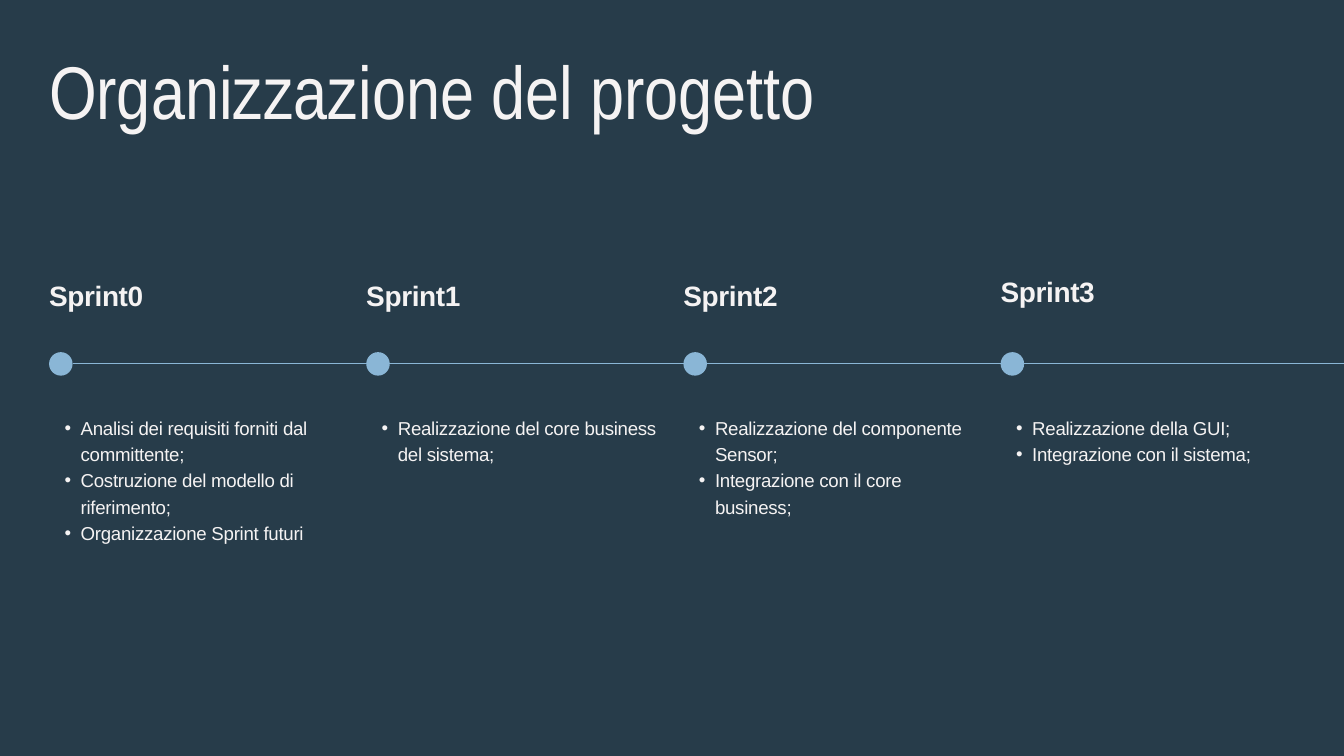
from lxml.etree import SubElement
from pptx import Presentation
from pptx.dml.color import RGBColor
from pptx.enum.shapes import MSO_CONNECTOR as Connector, MSO_SHAPE as Shape
from pptx.enum.text import MSO_AUTO_SIZE as AutoSize
from pptx.oxml.ns import qn
from pptx.util import Emu, Pt

PX = 9144
COLORS = {"background": "273C4A", "text": "F5F3F3", "accent": "8AB6D6"}

LEFT, PITCH, COLUMN_WIDTH = 73, 472, 438
AXIS_Y, DOT_SIZE = 541, 35
SPRINTS = [
    ("Sprint0", 414, ["Analisi dei requisiti forniti dal committente;",
                      "Costruzione del modello di riferimento;",
                      "Organizzazione Sprint futuri"]),
    ("Sprint1", 414, ["Realizzazione del core business del sistema;"]),
    ("Sprint2", 414, ["Realizzazione del componente Sensor;",
                      "Integrazione con il core business;"]),
    ("Sprint3", 409, ["Realizzazione della GUI;",
                      "Integrazione con il sistema;"]),
]


def px(value):
    return Emu(value * PX)


def color(name):
    return RGBColor.from_string(COLORS[name])


class Timeline:
    def __init__(self, page):
        self.page = page
        page.background.fill.solid()
        page.background.fill.fore_color.rgb = color("background")

    def text(self, left, top, width, height, lines, size, leading,
             font="Arial", bold=False, tracking=0, bullets=False):
        box = self.page.shapes.add_textbox(px(left), px(top), px(width), px(height))
        frame = box.text_frame
        frame.margin_left = frame.margin_right = 0
        frame.margin_top = frame.margin_bottom = 0
        frame.word_wrap = True
        frame.auto_size = AutoSize.SHAPE_TO_FIT_TEXT
        frame.text = "\n".join(lines)
        for para in frame.paragraphs:
            para.line_spacing = Pt(leading)
            if bullets:
                self.bullet(para)
            for span in para.runs:
                span.font.name = font
                span.font.size = Pt(size)
                span.font.bold = bold
                span.font.color.rgb = color("text")
                if tracking:
                    span.font._element.set("spc", str(tracking))

    def bullet(self, para):
        para.level = 1
        properties = para._p.get_or_add_pPr()
        properties.set("marL", str(px(47)))
        properties.set("indent", str(px(-24)))
        SubElement(properties, qn("a:buFont")).set("typeface", "Arial")
        SubElement(properties, qn("a:buChar")).set("char", "•")

    def line(self, left, right, y):
        line = self.page.shapes.add_connector(
            Connector.STRAIGHT, px(left), px(y), px(right), px(y))
        line.line.color.rgb = color("accent")
        line.line.width = Pt(1.5)
        SubElement(line._element.spPr, qn("a:effectLst"))

    def dot(self, left, top, size):
        dot = self.page.shapes.add_shape(
            Shape.OVAL, px(left), px(top), px(size), px(size))
        dot.shadow.inherit = False
        dot.fill.solid()
        dot.fill.fore_color.rgb = color("accent")
        dot.line.fill.background()


def main():
    deck = Presentation()
    deck.slide_width, deck.slide_height = px(2000), px(1125)
    timeline = Timeline(deck.slides.add_slide(deck.slide_layouts[6]))

    timeline.text(LEFT, 89, 1854, 117, ["Organizzazione del progetto"],
                  80, 80, font="Arial Narrow")
    timeline.line(LEFT + DOT_SIZE, 2000, AXIS_Y)
    for index, (name, name_top, tasks) in enumerate(SPRINTS):
        left = LEFT + index * PITCH
        timeline.text(left, name_top, COLUMN_WIDTH, 56, [name],
                      30, 36, bold=True, tracking=-40)
        timeline.dot(left, AXIS_Y - DOT_SIZE // 2, DOT_SIZE)
        timeline.text(left, 615, COLUMN_WIDTH, 39 * (len(tasks) + 1), tasks,
                      20, 28, tracking=-30, bullets=True)
    deck.save("out.pptx")


if __name__ == "__main__":
    main()
